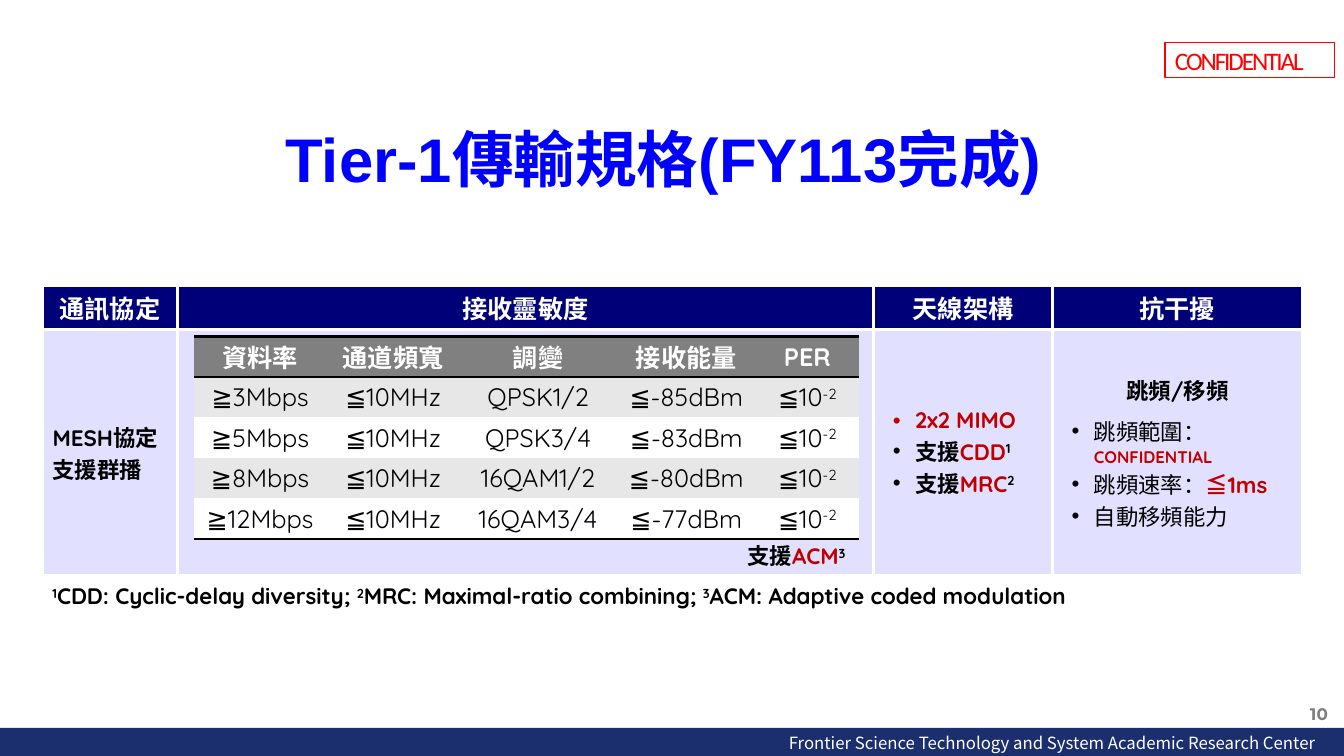
import pptx
import pptx.dml.color
import pptx.enum.shapes
import pptx.enum.text
import pptx.oxml.ns
import pptx.util
from lxml import etree

Cm, Pt = pptx.util.Cm, pptx.util.Pt
RGBColor = pptx.dml.color.RGBColor
ALIGN = pptx.enum.text.PP_ALIGN
ANCHOR = pptx.enum.text.MSO_ANCHOR
qn = pptx.oxml.ns.qn

WHITE = RGBColor(0xFF, 0xFF, 0xFF)
BLACK = RGBColor(0x00, 0x00, 0x00)
RED = RGBColor(0xFF, 0x00, 0x00)
DARK_RED = RGBColor(0xC0, 0x00, 0x00)
BLUE = RGBColor(0x00, 0x00, 0xFF)
NAVY = RGBColor(0x00, 0x00, 0x78)
FOOTER_BLUE = RGBColor(0x1B, 0x2F, 0x6E)
LAVENDER = RGBColor(0xE1, 0xE1, 0xFF)
GRAY = RGBColor(0x80, 0x80, 0x80)
LIGHT_GRAY = RGBColor(0xE7, 0xE7, 0xE7)

CJK_FONT = "Noto Sans CJK SC"


def look(size, name="Quicksand", color=BLACK, bold=True):
    return {"size": Pt(size), "name": name, "color": color, "bold": bold}


BODY = look(16)
HEAD = look(18, CJK_FONT, WHITE)
SPEC = look(18, bold=False)
KEY = {"color": DARK_RED}
PLAIN = {"bold": False}
SUP = {"baseline": 30}


class SpecSlide:
    """Holds the current slide and draws its elements."""

    def __init__(self, deck):
        self.slide = deck.slides.add_slide(deck.slide_layouts[6])

    def paragraph(self, paragraph, runs, style, align=ALIGN.LEFT, bullet=False, after=0):
        paragraph.alignment = align
        if after:
            paragraph.space_after = Pt(after)
        if bullet:
            props = paragraph._p.get_or_add_pPr()
            props.set("marL", str(Cm(0.79)))
            props.set("indent", str(Cm(-0.56)))
            etree.SubElement(props, qn("a:buFont")).set("typeface", "Arial")
            etree.SubElement(props, qn("a:buChar")).set("char", "•")
        for text, change in runs:
            run = paragraph.add_run()
            run.text = text
            values = {**style, **change}
            run.font.color.rgb = values.pop("color")
            props = run._r.get_or_add_rPr()
            for key, scale in (("baseline", 1000), ("spc", 100)):
                if key in values:
                    props.set(key, str(int(values.pop(key) * scale)))
            for key, value in values.items():
                setattr(run.font, key, value)
            etree.SubElement(props, qn("a:ea")).set("typeface", CJK_FONT)

    def text(self, box, runs, style, align=ALIGN.LEFT, anchor=ANCHOR.TOP, wrap=True):
        frame = self.slide.shapes.add_textbox(*map(Cm, box)).text_frame
        frame.word_wrap, frame.vertical_anchor = wrap, anchor
        self.paragraph(frame.paragraphs[0], runs, style, align)

    def rectangle(self, box, fill=None, line=None):
        shape = self.slide.shapes.add_shape(
            pptx.enum.shapes.MSO_SHAPE.RECTANGLE, *map(Cm, box))
        shape.shadow.inherit = False
        for part, color in ((shape.fill, fill), (shape.line.fill, line)):
            if color is None:
                part.background()
            else:
                part.solid()
                part.fore_color.rgb = color
        if line is not None:
            shape.line.width = Pt(1)

    def table(self, left, top, widths, heights):
        table = self.slide.shapes.add_table(
            len(heights), len(widths), Cm(left), Cm(top),
            Cm(sum(widths)), Cm(sum(heights))).table
        table.first_row = table.horz_banding = False
        for column, width in zip(table.columns, widths):
            column.width = Cm(width)
        for row, height in zip(table.rows, heights):
            row.height = Cm(height)
        return table

    def cell(self, cell, paragraphs, style, fill, borders):
        """paragraphs: (runs, paragraph options); borders: side -> (colour, points)."""
        cell.vertical_anchor = ANCHOR.MIDDLE
        cell.margin_top = cell.margin_bottom = Cm(0.04)
        props = cell._tc.get_or_add_tcPr()
        for side in "LRTB":
            edge = etree.SubElement(props, qn("a:ln" + side))
            if side in borders:
                color, width = borders[side]
                edge.set("w", str(Pt(width)))
                solid = etree.SubElement(edge, qn("a:solidFill"))
                etree.SubElement(solid, qn("a:srgbClr")).set("val", str(color))
            else:
                edge.set("w", "0")
                etree.SubElement(edge, qn("a:noFill"))
        cell.fill.solid()
        cell.fill.fore_color.rgb = fill
        frame = cell.text_frame
        for index, (runs, options) in enumerate(paragraphs):
            target = frame.add_paragraph() if index else frame.paragraphs[0]
            self.paragraph(target, runs, style, **options)


CENTER = {"align": ALIGN.CENTER}
BULLET = {"bullet": True}

SPEC_HEADS = ["通訊協定", "接收靈敏度", "天線架構", "抗干擾"]
SPEC_BODY = [
    [([("MESH協定", {})], {}), ([("支援群播", {})], {})],
    [],
    [([("2x2 MIMO", KEY)], BULLET),
     ([("支援", {}), ("CDD", KEY), ("1", SUP)], BULLET),
     ([("支援", {}), ("MRC", KEY), ("2", SUP)], BULLET)],
    [([("跳頻/移頻", {})], {**CENTER, "after": 6}),
     ([("跳頻範圍：", PLAIN), ("CONFIDENTIAL", {**KEY, "size": Pt(12)})], BULLET),
     ([("跳頻速率：", PLAIN), ("≦1ms", KEY)], BULLET),
     ([("自動移頻能力", PLAIN)], BULLET)],
]
RATE_HEADS = ["資料率", "通道頻寬", "調變", "接收能量", "PER"]
RATES = [("≧3Mbps", "QPSK1/2", "≦-85dBm"), ("≧5Mbps", "QPSK3/4", "≦-83dBm"),
         ("≧8Mbps", "16QAM1/2", "≦-80dBm"), ("≧12Mbps", "16QAM3/4", "≦-77dBm")]


def main():
    deck = pptx.Presentation()
    deck.slide_width, deck.slide_height = Cm(33.87), Cm(19.05)
    page = SpecSlide(deck)

    # Footer, page number and confidentiality mark
    page.rectangle((0, 18.34, 33.87, 0.71), fill=FOOTER_BLUE)
    page.text((19.63, 18.34, 14, 0.76),
              [("Frontier Science Technology and System Academic Research Center", {})],
              look(12, CJK_FONT, WHITE, False), wrap=False)
    page.text((32.49, 17.55, 1.5, 0.89), [("10", {})],
              look(12, "Montserrat", GRAY), ALIGN.CENTER, ANCHOR.MIDDLE)
    mark = (29.36, 1.07, 4.27, 0.89)
    page.rectangle(mark, line=RED)
    page.text(mark, [("CONFIDENTIAL", {"spc": -1.5})],
              look(18, "Calibri", RED, False), anchor=ANCHOR.MIDDLE)

    # Specification table
    specs = page.table(1.07, 7.19, [3.4, 17.55, 4.5, 6.3], [1.12, 6.2])
    white_grid = dict.fromkeys("LRTB", (WHITE, 2.25))
    for column, (head, body) in enumerate(zip(SPEC_HEADS, SPEC_BODY)):
        page.cell(specs.cell(0, column), [([(head, {})], CENTER)], HEAD, NAVY, white_grid)
        page.cell(specs.cell(1, column), body, BODY, LAVENDER, white_grid)

    # Receiver sensitivity table
    rates = page.table(4.88, 8.48, [3.35, 3.35, 3.96, 3.51, 2.59], [1.02] * 5)
    rule = (BLACK, 2)
    for column, head in enumerate(RATE_HEADS):
        page.cell(rates.cell(0, column), [([(head, {})], CENTER)],
                  look(18, color=WHITE), GRAY, {"T": rule, "B": rule})
    for row, (rate, modulation, power) in enumerate(RATES, 1):
        fill = LIGHT_GRAY if row % 2 else WHITE
        borders = {1: {"T": rule}, len(RATES): {"B": rule}}.get(row, {})
        entries = [[(text, {})] for text in (rate, "≦10MHz", modulation, power)]
        entries.append([("≦10", {}), ("-2", SUP)])
        for column, runs in enumerate(entries):
            page.cell(rates.cell(row, column), [(runs, CENTER)], SPEC, fill, borders)

    # Notes and title
    page.text((1.07, 14.55, 27.94, 0.94),
              [("1", SUP), ("CDD: Cyclic-delay diversity; ", {}),
               ("2", SUP), ("MRC: Maximal-ratio combining; ", {}),
               ("3", SUP), ("ACM: Adaptive coded modulation", {})], BODY)
    page.text((18.59, 13.54, 3.51, 0.94),
              [("支援", {}), ("ACM", KEY), ("3", SUP)], BODY, anchor=ANCHOR.MIDDLE)
    page.text((5.44, 2.92, 22.99, 2.13), [("Tier-1傳輸規格(FY113完成) ", {})],
              look(44, "Arial", BLUE), ALIGN.CENTER)

    deck.save("out.pptx")


if __name__ == "__main__":
    main()
